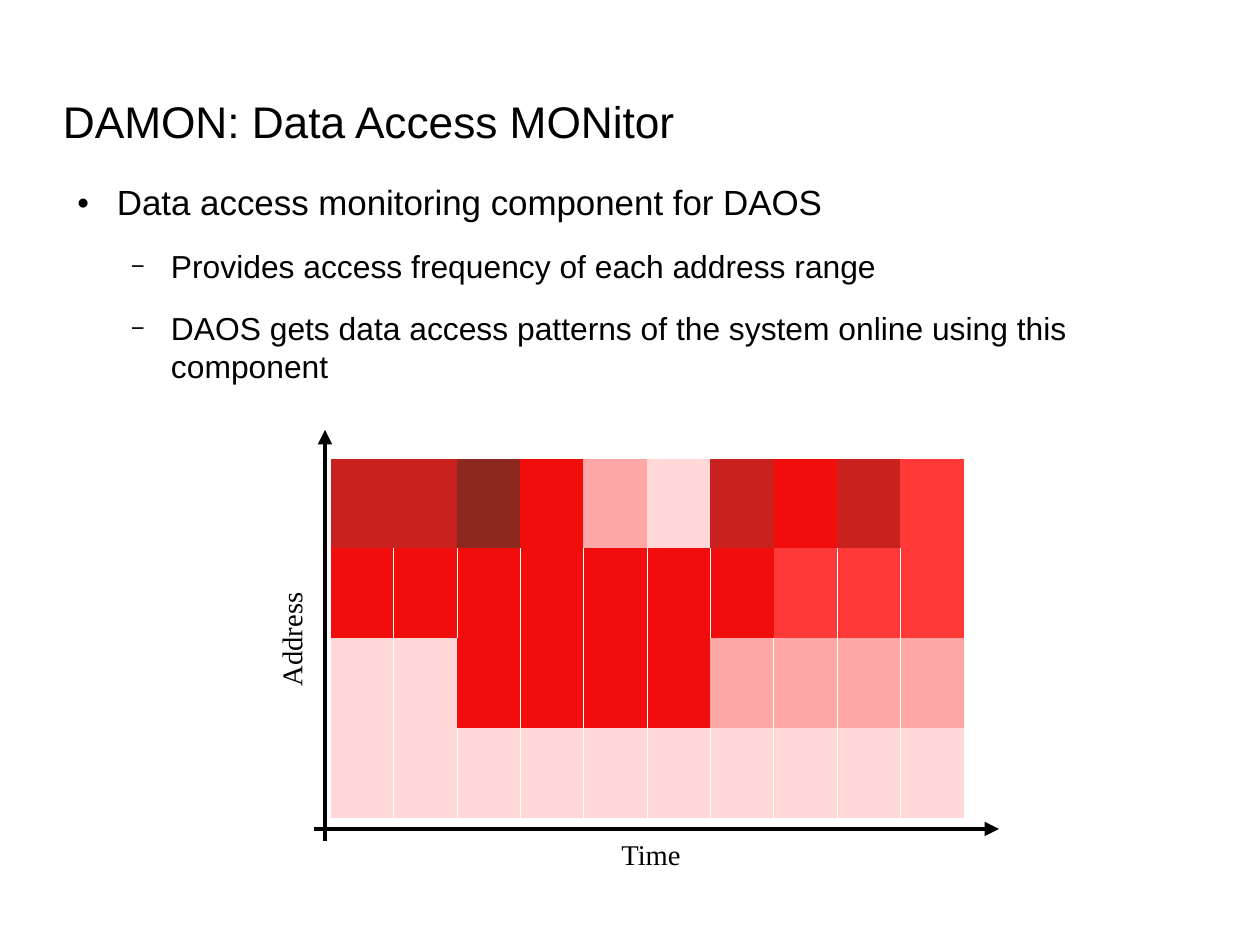
from lxml import etree
from pptx import Presentation, util as u
from pptx.dml.color import RGBColor
from pptx.enum import shapes, text
from pptx.oxml.ns import qn

PX = 8000  # EMU; the slide is 1260 by 945 px

BLACK = RGBColor(0, 0, 0)
HEAT = {
    "A": RGBColor(0x8D, 0x28, 0x1E),
    "B": RGBColor(0xC9, 0x21, 0x1E),
    "C": RGBColor(0xF1, 0x0D, 0x0C),
    "D": RGBColor(0xFF, 0x38, 0x38),
    "E": RGBColor(0xFF, 0xA6, 0xA6),
    "F": RGBColor(0xFF, 0xD7, 0xD7),
}
# One letter per cell, from the hottest (A) to the coldest (F)
GRID = ["BBACEFBCBD", "CCCCCCCDDD", "FFCCCCEEEE", "FFFFFFFFFF"]
NO_STYLE = "{2D5ABB26-0587-4C30-8999-92F81FD0307C}"

# Level, bullet, bullet size in %, indent in px, space before, size, words
POINTS = [
    (0, "●", 60, 54, 18.8, 22, "Data access monitoring component for DAOS"),
    (1, "−", 75, 108, 15.1, 20,
     "Provides access frequency of each address range"),
    (1, "−", 75, 108, 15.1, 20,
     "DAOS gets data access patterns of the system online "
     "using this component"),
]


def px(*nums):
    return [u.Emu(n * PX) for n in nums]


def node(top, tag, **attrs):
    return etree.SubElement(top, qn(tag), attrs)


def add_run(para, words, size, font):
    run = para.add_run()
    run.text = words
    run.font.size = u.Pt(size)
    run.font.name = font
    run.font.color.rgb = BLACK


def add_frame(slide, box, pad=(0, 0), wrap=True):
    """Add a text box; pad is the side and the top margin in px."""
    shape = slide.shapes.add_textbox(*px(*box))
    frame = shape.text_frame
    frame.word_wrap = wrap
    frame.margin_left = frame.margin_right = u.Emu(pad[0] * PX)
    frame.margin_top = frame.margin_bottom = u.Emu(pad[1] * PX)
    return shape, frame


def add_title(slide, words):
    frame = add_frame(slide, (63, 82, 1134, 77))[1]
    frame.vertical_anchor = text.MSO_ANCHOR.MIDDLE
    add_run(frame.paragraphs[0], words, 27.9, "Arial")


def add_points(slide):
    frame = add_frame(slide, (63, 181, 1134, 665))[1]
    for i, (level, mark, scale, left, gap, size, words) in enumerate(POINTS):
        para = frame.add_paragraph() if i else frame.paragraphs[0]
        para.level = level
        para.space_before = u.Pt(gap)
        add_run(para, words, size, "Arial")
        props = para._p.get_or_add_pPr()
        props.set("marL", str(left * PX))
        props.set("indent", str(-40 * PX))
        node(node(props, "a:buClr"), "a:srgbClr", val=str(BLACK))
        node(props, "a:buSzPct", val=str(scale * 1000))
        node(props, "a:buFont", typeface="Arial")
        node(props, "a:buChar", char=mark)


def add_edges(cell, shown):
    """Draw the shown sides in white and switch the others off."""
    props = cell._tc.get_or_add_tcPr()
    for side in "LRTB":
        line = node(props, f"a:ln{side}", w="720")
        if side in shown:
            node(node(line, "a:solidFill"), "a:srgbClr", val="FFFFFF")
        else:
            node(line, "a:noFill")


def add_heat(slide):
    rows, cols = len(GRID), len(GRID[0])
    table = slide.shapes.add_table(rows, cols, *px(330, 458, 634, 360)).table
    table.first_row = table.horz_banding = False
    table._tbl.tblPr.find(qn("a:tableStyleId")).text = NO_STYLE
    for r, row in enumerate(GRID):
        for c, key in enumerate(row):
            cell = table.cell(r, c)
            left = c == 0 or (r > 0 and row[c - 1] == key)
            add_edges(cell, "RB" + "L" * left + "T" * (r == 0))
            cell.fill.solid()
            cell.fill.fore_color.rgb = HEAT[key]


def add_axis(slide, start, end):
    axis = slide.shapes.add_connector(
        shapes.MSO_CONNECTOR.STRAIGHT, *px(*start, *end))
    axis.line.color.rgb = BLACK
    axis.line.width = u.Pt(3)
    node(axis.line._get_or_add_ln(), "a:tailEnd", type="triangle")
    node(axis._element.spPr, "a:effectLst")


def add_label(slide, left, top, words, turn=0):
    shape, frame = add_frame(slide, (left, top, 240, 69), (11, 6), False)
    shape.rotation = turn
    frame.vertical_anchor = text.MSO_ANCHOR.MIDDLE
    para = frame.paragraphs[0]
    para.alignment = text.PP_ALIGN.CENTER
    add_run(para, words, 18, "Times New Roman")


def main():
    deck = Presentation()
    deck.slide_width, deck.slide_height = px(1260, 945)
    slide = deck.slides.add_slide(deck.slide_layouts[6])
    add_title(slide, "DAMON: Data Access MONitor")
    add_points(slide)
    add_heat(slide)
    add_axis(slide, (314, 829), (999, 829))
    add_axis(slide, (325, 841), (325, 430))
    add_label(slide, 531, 820, "Time")
    add_label(slide, 171, 605, "Address", 270)
    deck.save("out.pptx")


if __name__ == "__main__":
    main()
